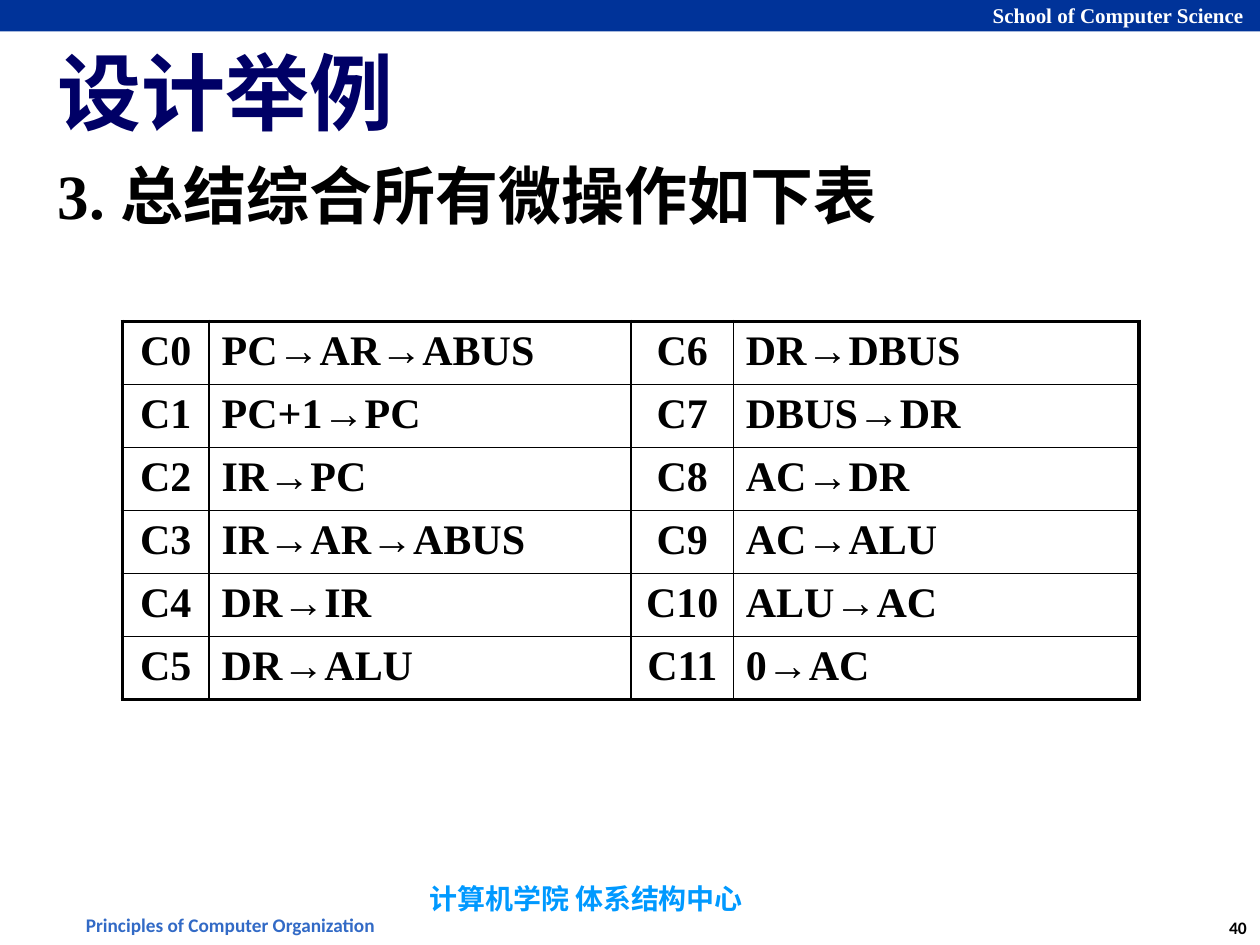
from lxml.etree import SubElement
from pptx import Presentation
from pptx.dml.color import RGBColor
from pptx.enum.shapes import MSO_SHAPE
from pptx.enum.text import MSO_ANCHOR, PP_ALIGN
from pptx.oxml.ns import qn
from pptx.util import Inches, Pt


def color(hex_string):
    return RGBColor.from_string(hex_string)


def write(frame, text, size, fill="000000", font="Times New Roman",
          align=PP_ALIGN.LEFT, wrap=True, inset=None, anchor=MSO_ANCHOR.TOP):
    frame.word_wrap = wrap
    frame.vertical_anchor = anchor
    if inset is not None:
        frame.margin_left = frame.margin_right = Inches(inset)
        frame.margin_top = frame.margin_bottom = Inches(inset)
    paragraph = frame.paragraphs[0]
    paragraph.alignment = align
    run = paragraph.add_run()
    run.text = text
    run.font.size = Pt(size)
    run.font.bold = True
    run.font.name = font
    run.font.color.rgb = color(fill)
    east_asian = SubElement(run.font._element, qn("a:ea"))
    east_asian.set("typeface", "Noto Sans CJK SC")
    return paragraph


deck = Presentation()
deck.slide_width, deck.slide_height = Inches(10), Inches(7.5)
slide = deck.slides.add_slide(deck.slide_layouts[6])
shapes = slide.shapes

banner = shapes.add_shape(MSO_SHAPE.RECTANGLE, 0, 0, Inches(10), Inches(0.25))
banner.shadow.inherit = False
banner.fill.solid()
banner.fill.fore_color.rgb = color("003399")
banner.line.fill.background()

labels = [
    ("40", (9.64, 7.23, 0.37, 0.27),
     dict(size=10, font="Calibri", align=PP_ALIGN.CENTER, wrap=False)),
    ("School of Computer Science", (7.78, -0.03, 2.21, 0.3),
     dict(size=12, fill="FFFFFF", wrap=False)),
    ("Principles of Computer Organization", (0.55, 7.2, 2.56, 0.29),
     dict(size=11, fill="326AC6", font="Calibri", align=PP_ALIGN.CENTER, wrap=False)),
    ("设计举例", (0.42, 0.28, 9.17, 0.89),
     dict(size=48, fill="000066", inset=0.04, anchor=MSO_ANCHOR.MIDDLE)),
    ("3. 总结综合所有微操作如下表", (0.42, 1.2, 9.17, 5.72),
     dict(size=36, inset=0.04)),
    ("计算机学院 体系结构中心", (3.31, 6.95, 3.38, 0.4),
     dict(size=16, fill="0099FF", font="Noto Sans CJK SC")),
]
for text, place, style in labels:
    label = shapes.add_textbox(*[Inches(length) for length in place])
    write(label.text_frame, text, **style)

operations = [
    "PC→AR→ABUS", "PC+1→PC", "IR→PC", "IR→AR→ABUS", "DR→IR", "DR→ALU",
    "DR→DBUS", "DBUS→DR", "AC→DR", "AC→ALU", "ALU→AC", "0→AC",
]
row_count = len(operations) // 2
column_widths = [0.69, 3.35, 0.81, 3.22]
last_row, last_column = row_count - 1, len(column_widths) - 1

signals = shapes.add_table(row_count, len(column_widths), Inches(0.97), Inches(2.55),
                           Inches(sum(column_widths)), Inches(0.5 * row_count)).table
signals.first_row = signals.horz_banding = False
for column, width in zip(signals.columns, column_widths):
    column.width = Inches(width)

for number, operation in enumerate(operations):
    half, row = divmod(number, row_count)
    entries = [(f"C{number}", PP_ALIGN.CENTER), (operation, PP_ALIGN.LEFT)]
    for column, (entry, align) in enumerate(entries, start=2 * half):
        cell = signals.cell(row, column)
        write(cell.text_frame, entry, 24, align=align)
        outer_edges = {"lnL": column == 0, "lnR": column == last_column,
                       "lnT": row == 0, "lnB": row == last_row}
        properties = cell._tc.get_or_add_tcPr()
        for edge, is_outer in outer_edges.items():
            border = SubElement(properties, qn(f"a:{edge}"), w=str(Pt(2.25 if is_outer else 1)))
            ink = SubElement(border, qn("a:solidFill"))
            SubElement(ink, qn("a:srgbClr"), val="000000")
        cell.fill.background()

deck.save("out.pptx")
